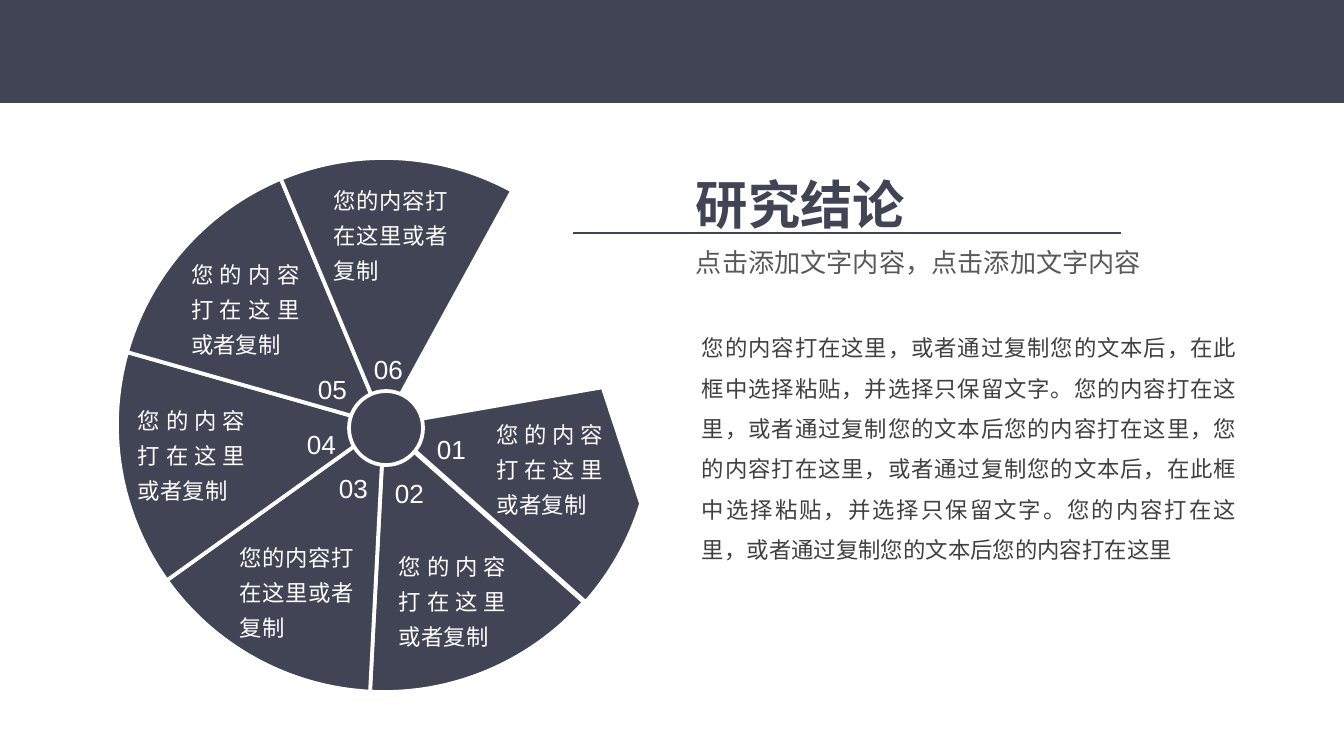
from dataclasses import dataclass
from math import cos, radians, sin, tan

from pptx import Presentation
from pptx.dml.color import RGBColor
from pptx.enum.shapes import MSO_CONNECTOR as Connector, MSO_SHAPE as Shape
from pptx.enum.text import MSO_ANCHOR as Anchor, MSO_AUTO_SIZE as AutoSize, PP_ALIGN as Align
from pptx.oxml.ns import qn
from pptx.util import Pt
from lxml.etree import SubElement

PX = 6804


@dataclass(frozen=True)
class Theme:
    navy: str = "414455"
    white: str = "FFFFFF"
    gray: str = "595959"
    dark: str = "404040"
    han: str = "Noto Sans CJK SC"
    latin: str = "Arial"
    title: int = 28
    label: int = 14
    text: int = 12
    border: float = 2
    rule: float = 1.5


THEME = Theme()
HUB = (384, 425)
RADIUS = 267
CUT_RADIUS = 220
STEP = 360 / 7
TURN = 28.7
CORNER = 27
SLICE_TEXT = "您的内容打在这里或者复制"
SLICES = [
    ("01", (422, 417), (490, 406, 120)),
    ("02", (380, 461), (392, 538, 121)),
    ("03", (324, 456), (233, 529, 128)),
    ("04", (292, 412), (131, 392, 121)),
    ("05", (303, 357), (184, 246, 123)),
    ("06", (359, 337), (327, 172, 128)),
]
BODY_SENTENCES = [
    "您的内容打在这里，或者通过复制您的文本后，在此框中选择粘贴，并选择只保留文字。",
    "您的内容打在这里，或者通过复制您的文本后您的内容打在这里",
]


def px(*lengths):
    return [round(length * PX) for length in lengths]


def apply(target, values):
    for name, value in values.items():
        setattr(target, name, value)


def place(shape, frame):
    apply(shape, dict(zip(("left", "top", "width", "height"), px(*frame))))


def paint(shape, border=None):
    shape.shadow.inherit = False
    shape.fill.solid()
    shape.fill.fore_color.rgb = RGBColor.from_string(THEME.navy)
    if border is None:
        shape.line.fill.background()
    else:
        shape.line.color.rgb = RGBColor.from_string(border)
        shape.line.width = Pt(THEME.border)


def write(box, text, size, color, font=THEME.han, bold=False,
          align=Align.LEFT, spacing=1.3):
    frame = box.text_frame
    margins = ("margin_left", "margin_top", "margin_right", "margin_bottom")
    apply(frame, dict.fromkeys(margins, px(7)[0]))
    apply(frame, {"word_wrap": True, "auto_size": AutoSize.SHAPE_TO_FIT_TEXT,
                  "vertical_anchor": Anchor.TOP})
    para = frame.paragraphs[0]
    apply(para, {"alignment": align, "line_spacing": spacing, "space_before": Pt(0)})
    span = para.add_run()
    span.text = text
    apply(span.font, {"size": Pt(size), "bold": bold, "name": font})
    span.font.color.rgb = RGBColor.from_string(color)
    SubElement(span.font._element, qn("a:ea"), typeface=font)


def add_text(page, frame, text, size, color, **style):
    box = page.shapes.add_textbox(*px(*frame))
    write(box, text, size, color, **style)


def remove_bullet(box):
    properties = box.text_frame.paragraphs[0]._p.get_or_add_pPr()
    for name in ("marL", "indent", "hangingPunct"):
        properties.set(name, "0")
    SubElement(properties, qn("a:buNone"))


def polar(hub, degrees, radius=RADIUS):
    angle = radians(degrees)
    return hub[0] + radius * cos(angle), hub[1] + radius * sin(angle)


def rotate_about(hub, point):
    angle = radians(TURN)
    x, y = point[0] - hub[0], point[1] - hub[1]
    return (hub[0] + x * cos(angle) - y * sin(angle),
            hub[1] + x * sin(angle) + y * cos(angle))


def arc_points(hub, start, end):
    reach = 4 / 3 * tan(radians(end - start) / 4)
    points = [polar(hub, start)]
    for degrees, sign in ((start, 1), (end, -1)):
        x, y = polar(hub, degrees)
        points.append((x - sign * reach * (y - hub[1]), y + sign * reach * (x - hub[0])))
    return points + [polar(hub, end)]


def curve_last_segments(shape):
    outline = next(shape._element.iter(qn("a:path")))
    curve = outline.makeelement(qn("a:cubicBezTo"))
    segments = outline.findall(qn("a:lnTo"))[-3:]
    segments[0].addprevious(curve)
    for segment in segments:
        curve.append(segment[0])
        outline.remove(segment)


def add_slice(page, index):
    cut = index == 0
    hub = (HUB[0] + 2, HUB[1]) if cut else HUB
    start = -90 + (index + 1) * STEP
    arc = arc_points(hub, start + CORNER if cut else start, start + STEP)
    outline = [polar(hub, start, CUT_RADIUS)] + arc if cut else arc
    builder = page.shapes.build_freeform(*px(*hub))
    builder.add_line_segments([px(*point) for point in outline], close=True)
    wedge = builder.convert_to_shape()
    curve_last_segments(wedge)
    middle = wedge.left + wedge.width / 2, wedge.top + wedge.height / 2
    x, y = rotate_about(px(*hub), middle)
    apply(wedge, {"left": round(x - wedge.width / 2),
                  "top": round(y - wedge.height / 2), "rotation": TURN})
    paint(wedge, THEME.white)


def add_wheel(page):
    for index in range(len(SLICES)):
        add_slice(page, index)
    center = page.shapes.add_shape(Shape.OVAL, *px(349, 391, 74, 74))
    paint(center, THEME.white)
    for number, number_at, (left, top, width) in SLICES:
        add_text(page, (*number_at, 59, 43), number, THEME.label, THEME.white,
                 font=THEME.latin, align=Align.CENTER)
        add_text(page, (left, top, width, 128), SLICE_TEXT, THEME.text,
                 THEME.white, align=Align.JUSTIFY)


def add_rule(page, left, right, y):
    rule = page.shapes.add_connector(Connector.STRAIGHT, *px(left, y, right, y))
    rule.line.color.rgb = RGBColor.from_string(THEME.navy)
    rule.line.width = Pt(THEME.rule)
    SubElement(rule._element.spPr, qn("a:effectLst"))


def add_conclusion(page):
    title, body = page.placeholders
    place(title, (689, 146, 512, 89))
    write(title, "研究结论", THEME.title, THEME.navy, bold=True)
    add_text(page, (689, 230, 481, 51), "点击添加文字内容，点击添加文字内容",
             THEME.label, THEME.gray)
    add_rule(page, 573, 1121, 233)
    place(body, (695, 314, 549, 325))
    remove_bullet(body)
    write(body, "，".join(["".join(BODY_SENTENCES)] * 2), THEME.text, THEME.dark,
          align=Align.JUSTIFY, spacing=1.5)


def main():
    deck = Presentation()
    apply(deck, dict(zip(("slide_width", "slide_height"), px(1344, 756))))
    page = deck.slides.add_slide(deck.slide_layouts[1])
    header = page.shapes.add_shape(Shape.RECTANGLE, *px(0, 0, 1344, 103))
    paint(header)
    add_wheel(page)
    add_conclusion(page)
    deck.save("out.pptx")


if __name__ == "__main__":
    main()
